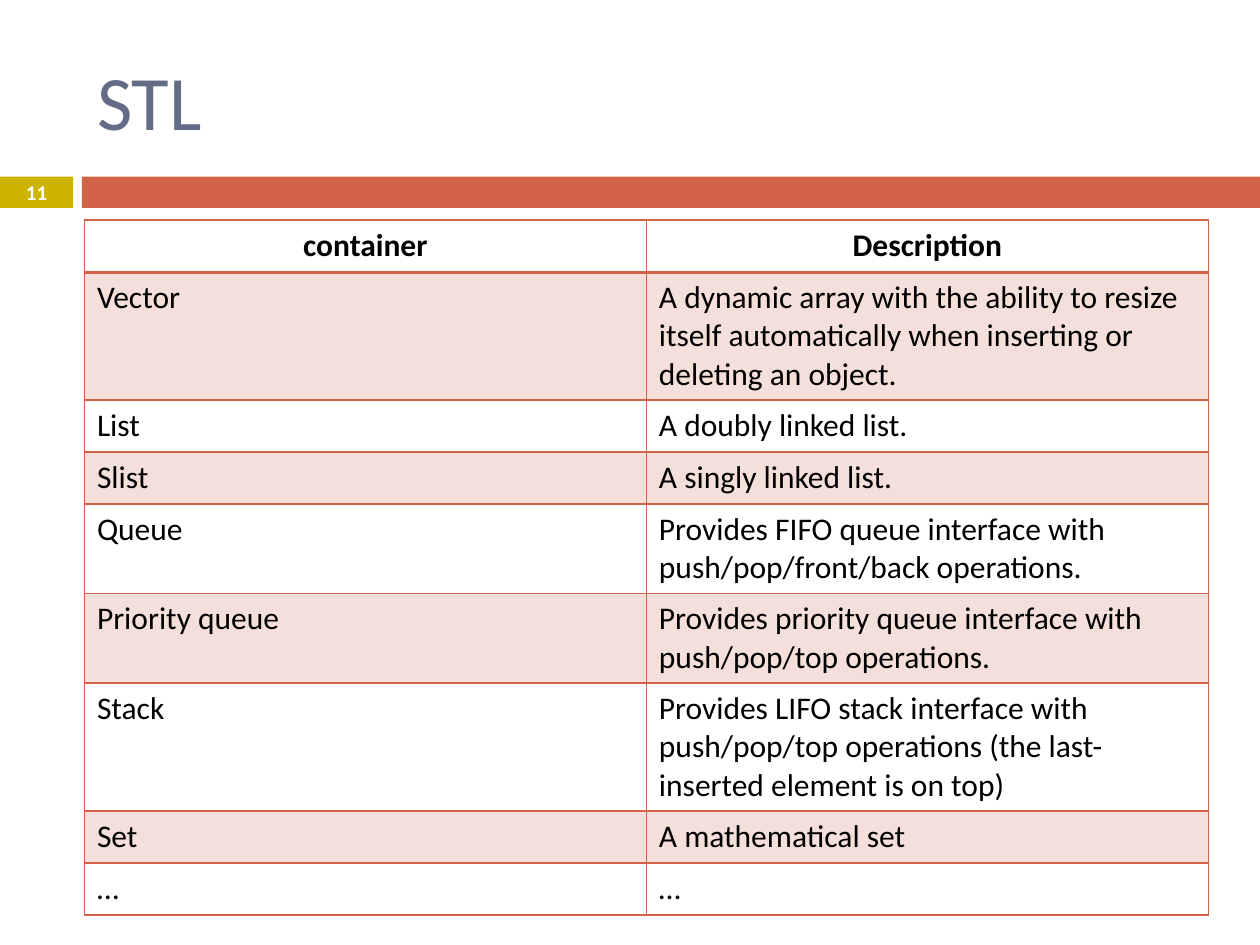
from lxml import etree
from pptx import Presentation
from pptx.dml.color import RGBColor
from pptx.enum.shapes import MSO_SHAPE
from pptx.enum.text import MSO_ANCHOR, MSO_AUTO_SIZE, PP_ALIGN
from pptx.oxml.ns import qn
from pptx.util import Inches, Pt

RECT = MSO_SHAPE.RECTANGLE
MIDDLE = MSO_ANCHOR.MIDDLE
FIXED = MSO_AUTO_SIZE.NONE
LEFT, CENTER = PP_ALIGN.LEFT, PP_ALIGN.CENTER
WIDE, HIGH = Inches(10), Inches(7.5)
FONT = "Calibri"
RED, GOLD, SLATE = "D16349", "CCB400", "646B86"
BLACK, WHITE = "000000", "FFFFFF"
EDGE, SPAN = 0.067, 0.892
BAR_TOP, BAR_HIGH = 0.187, 0.033
ROWS = [
    ("container", "Description"),
    ("Vector", "A dynamic array with the ability to resize itself "
     "automatically when inserting or deleting an object."),
    ("List", "A doubly linked list."),
    ("Slist", "A singly linked list."),
    ("Queue", "Provides FIFO queue interface with "
     "push/pop/front/back operations."),
    ("Priority queue", "Provides priority queue interface with "
     "push/pop/top operations."),
    ("Stack", "Provides LIFO stack interface with push/pop/top operations "
     "(the last-inserted element is on top)"),
    ("Set", "A mathematical set"),
    ("…", "…"),
]


def color(code):
    """Turn a hex string into a colour."""
    return RGBColor.from_string(code)


def place(left, top, width, height):
    """Turn shares of the slide into lengths."""
    return (round(left * WIDE), round(top * HIGH),
            round(width * WIDE), round(height * HIGH))


def write(frame, text, size, code, bold=False, align=LEFT):
    """Set and format one paragraph of text."""
    frame.text = text
    for para in frame.paragraphs:
        para.alignment = align
        for run in para.runs:
            run.font.name = FONT
            run.font.size = Pt(size)
            run.font.bold = bold
            run.font.color.rgb = color(code)


def add_title(slide, text):
    """Move and fill the title placeholder."""
    title = slide.shapes.title
    title.left, title.top, title.width, title.height = place(
        EDGE, 0.033, SPAN, 0.144)
    frame = title.text_frame
    frame.auto_size = FIXED
    frame.vertical_anchor = MIDDLE
    write(frame, text, 44, SLATE)


def add_bar(slide, left, width, code):
    """Add a flat bar below the title."""
    bar = slide.shapes.add_shape(
        RECT, *place(left, BAR_TOP, width, BAR_HIGH))
    bar.shadow.inherit = False
    bar.fill.solid()
    bar.fill.fore_color.rgb = color(code)
    bar.line.fill.background()
    return bar


def add_number(bar, text):
    """Write the page number on a bar."""
    frame = bar.text_frame
    frame.margin_top = frame.margin_bottom = 0
    frame.vertical_anchor = MIDDLE
    write(frame, text, 11.9, WHITE, True, CENTER)


def add_lines(cell, head):
    """Draw the four borders of a cell."""
    props = cell._tc.get_or_add_tcPr()
    for side in "LRTB":
        width = Pt(2 if head and side == "B" else 1)
        line = etree.SubElement(props, qn(f"a:ln{side}"), w=str(width))
        fill = etree.SubElement(line, qn("a:solidFill"))
        etree.SubElement(fill, qn("a:srgbClr"), val=RED)


def tint(cell):
    """Fill a cell with a light red."""
    cell.fill.solid()
    cell.fill.fore_color.rgb = color(RED)
    tone = cell._tc.tcPr.find(".//" + qn("a:solidFill") + "[last()]/"
                              + qn("a:srgbClr"))
    tone = cell._tc.tcPr.find(qn("a:solidFill")).find(qn("a:srgbClr"))
    etree.SubElement(tone, qn("a:alpha"), val="20000")


def add_grid(slide, rows):
    """Add the banded table of containers."""
    box = place(EDGE, 0.233, SPAN, 0.055 * len(rows))
    table = slide.shapes.add_table(len(rows), len(rows[0]), *box).table
    table.horz_banding = table.first_row = False
    for row, texts in enumerate(rows):
        head = row == 0
        for col, text in enumerate(texts):
            cell = table.cell(row, col)
            write(cell.text_frame, text, 18, BLACK, head,
                  CENTER if head else LEFT)
            add_lines(cell, head)
            if row % 2:
                tint(cell)
            else:
                cell.fill.background()


def main():
    """Build and save the slide."""
    deck = Presentation()
    deck.slide_width, deck.slide_height = WIDE, HIGH
    slide = deck.slides.add_slide(deck.slide_layouts[5])
    badge = add_bar(slide, 0, 0.058, GOLD)
    add_bar(slide, 0.065, 0.935, RED)
    add_title(slide, "STL")
    add_number(badge, "11")
    add_grid(slide, ROWS)
    deck.save("out.pptx")


main()
